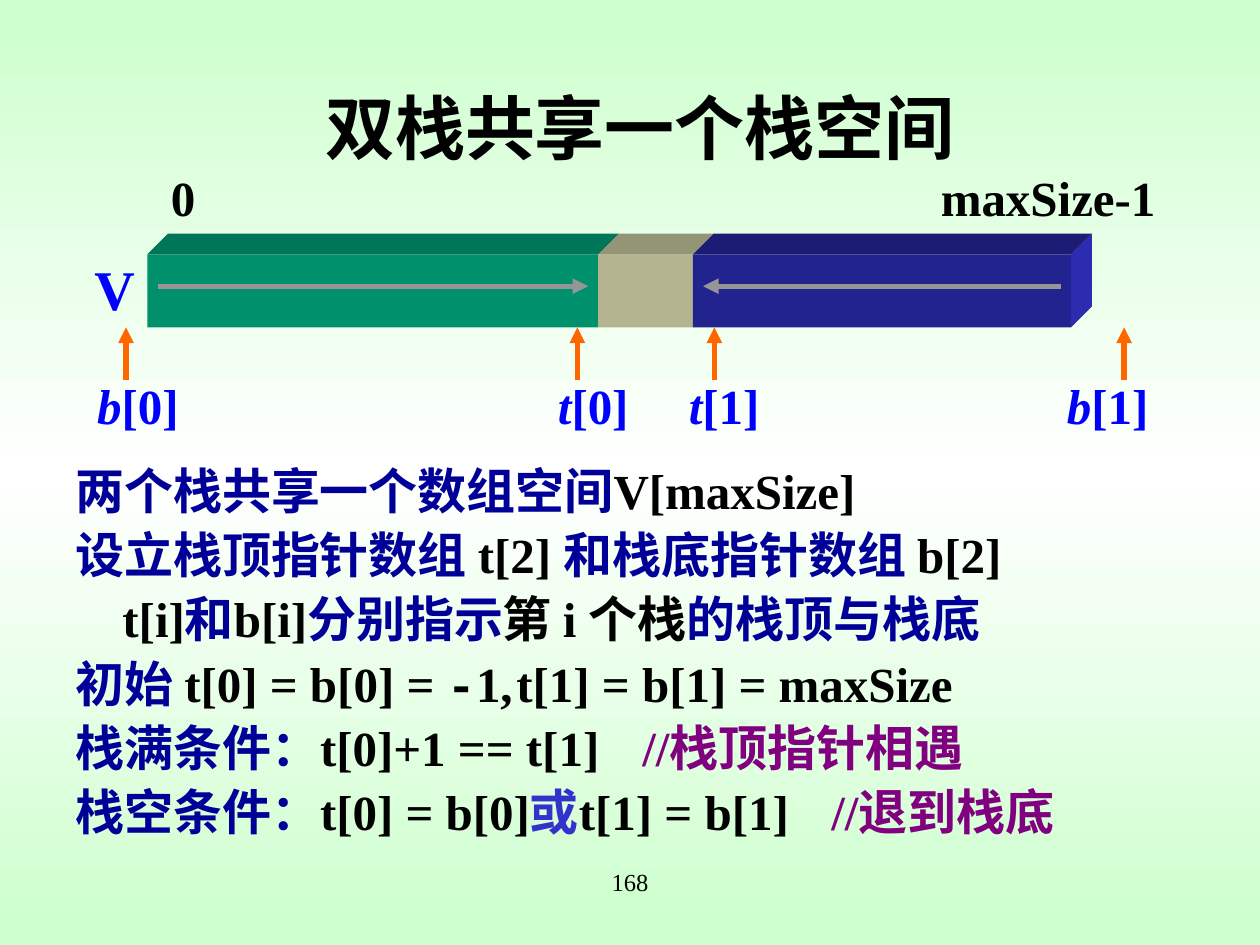
from copy import deepcopy

from pptx import Presentation
from pptx.dml.color import RGBColor as RGB
from pptx.enum.lang import MSO_LANGUAGE_ID as LANG
from pptx.enum.shapes import MSO_CONNECTOR as CONN, MSO_SHAPE as SHAPE
from pptx.enum.text import PP_ALIGN as ALIGN
from pptx.oxml.ns import qn
from pptx.oxml.xmlchemy import OxmlElement as Element
from pptx.util import Cm, Pt

BLACK = RGB(0x00, 0x00, 0x00)
WHITE = RGB(0xFF, 0xFF, 0xFF)
MINT = RGB(0xCC, 0xFF, 0xCC)
BLUE = RGB(0x00, 0x00, 0xFF)
NAVY = RGB(0x00, 0x00, 0x99)
INDIGO = RGB(0x33, 0x33, 0xCC)
PURPLE = RGB(0x80, 0x00, 0x80)
ORANGE = RGB(0xFF, 0x66, 0x00)
GREY = RGB(0x96, 0x96, 0x96)
GREEN_FRONT, GREEN_TOP = RGB(0x00, 0x90, 0x6C), RGB(0x00, 0x76, 0x58)
SAND_FRONT, SAND_TOP = RGB(0xB4, 0xB4, 0x90), RGB(0x94, 0x94, 0x76)
BLUE_FRONT, BLUE_TOP = RGB(0x23, 0x23, 0x90), RGB(0x1C, 0x1C, 0x74)
BLUE_SIDE = RGB(0x2C, 0x2C, 0xB0)

SERIF, MONO = "Times New Roman", "Courier New"
BAR_TOP, BAR_BOTTOM, DEPTH = 5.13, 6.6, 0.42
SEGMENTS = [
    (2.97, 12.06, GREEN_FRONT, GREEN_TOP),
    (12.06, 13.97, SAND_FRONT, SAND_TOP),
    (13.97, 21.59, BLUE_FRONT, BLUE_TOP),
]
POINTERS = [
    ("b", "[0]", 2.54, 2.78),
    ("t", "[0]", 11.64, 11.96),
    ("t", "[1]", 14.4, 14.6),
    ("b", "[1]", 22.66, 22.33),
]
NOTES = [
    (0, None, [("两个栈共享一个数组空间", NAVY), ("V[maxSize]", BLACK)]),
    (0, None, [("设立栈顶指针数组 ", NAVY), ("t[2] ", BLACK),
               ("和栈底指针数组 ", NAVY), ("b[2]", BLACK)]),
    (0.95, None, [("t[i]", BLACK), ("和", NAVY), ("b[i]", BLACK), ("分别指示", NAVY),
                  ("第 i 个栈", BLACK), ("的栈顶与栈底", NAVY)]),
    (0, 9.78, [("初始 ", NAVY), ("t[0] = b[0] = ", BLACK), ("-", BLACK, MONO),
               ("1,\tt[1] = b[1] = maxSize", BLACK)]),
    (0, 13.49, [("栈满条件：", NAVY), ("t[0]+1 == t[1]\t", BLACK), ("//栈顶指针相遇", PURPLE)]),
    (0, 15.57, [("栈空条件：", NAVY), ("t[0] = b[0]", BLACK), ("或", INDIGO),
                ("t[1] = b[1]\t", BLACK), ("//退到栈底", PURPLE)]),
]


def set_background(slide):
    """Fill the slide with a vertical mint, white, mint gradient."""
    fill = slide.background.fill
    fill.gradient()
    fill.gradient_angle = 90
    for stop, color, position in zip(fill.gradient_stops, (MINT, WHITE), (0, 0.5)):
        stop.color.rgb = color
        stop.position = position
    stops = next(slide.element.iter(qn("a:gsLst")))
    last = deepcopy(stops[0])
    last.set("pos", "100000")
    stops.append(last)


def add_run(p, text, color, size=28, font=SERIF, bold=True, italic=False):
    """Append a formatted run to a paragraph."""
    r = p.add_run()
    r.text = text
    r.font.name, r.font.size = font, Pt(size)
    r.font.bold, r.font.italic = bold, italic
    r.font.color.rgb = color
    r.font.language_id = LANG.SIMPLIFIED_CHINESE


def add_box(slide, x, y, w, h, wrap=True):
    """Add an empty text box and return its text frame."""
    tf = slide.shapes.add_textbox(Cm(x), Cm(y), Cm(w), Cm(h)).text_frame
    tf.word_wrap = wrap
    return tf


def add_label(slide, center, y, w, h, text, color=BLACK, **style):
    """Add a one-line label centred on a given position."""
    p = add_box(slide, center - w / 2, y, w, h).paragraphs[0]
    p.alignment = ALIGN.CENTER
    add_run(p, text, color, **style)
    return p


def add_arrow(slide, start, end, color):
    """Add a line with a triangle at its end."""
    line = slide.shapes.add_connector(CONN.STRAIGHT, *map(Cm, start + end))
    line.line.color.rgb = color
    line.line.width = Pt(3)
    tail = Element("a:tailEnd")
    tail.set("type", "triangle")
    line.line._get_or_add_ln().append(tail)
    line._element.spPr.append(Element("a:effectLst"))


def paint(sp, color):
    """Give a shape a plain fill without line or shadow."""
    sp.fill.solid()
    sp.fill.fore_color.rgb = color
    sp.line.fill.background()
    sp.shadow.inherit = False


def add_face(slide, points, color):
    """Add a slanted face of the bar."""
    corners = [(Cm(x), Cm(y)) for x, y in points]
    builder = slide.shapes.build_freeform(*corners[0])
    builder.add_line_segments(corners[1:], close=True)
    paint(builder.convert_to_shape(), color)


def add_bar(slide):
    """Draw the shared array as a solid bar of three segments."""
    back = BAR_TOP - DEPTH
    for left, right, front, top in SEGMENTS:
        sp = slide.shapes.add_shape(SHAPE.RECTANGLE, Cm(left), Cm(BAR_TOP),
                                    Cm(right - left), Cm(BAR_BOTTOM - BAR_TOP))
        paint(sp, front)
        add_face(slide, [(left, BAR_TOP), (left + DEPTH, back),
                         (right + DEPTH, back), (right, BAR_TOP)], top)
    end = SEGMENTS[-1][1]
    add_face(slide, [(end, BAR_TOP), (end + DEPTH, back),
                     (end + DEPTH, BAR_BOTTOM - DEPTH), (end, BAR_BOTTOM)], BLUE_SIDE)


def add_pointer(slide, name, index, x, center):
    """Add an upward arrow with its pointer name below."""
    add_arrow(slide, (x, 7.67), (x, BAR_BOTTOM), ORANGE)
    p = add_label(slide, center, 7.44, 2.6, 1.45, name, BLUE, italic=True)
    add_run(p, index, BLUE)


def add_notes(slide):
    """Write the explanation lines below the diagram."""
    tf = add_box(slide, 1.27, 9.09, 22.83, 8.53)
    for i, (indent, tab, runs) in enumerate(NOTES):
        p = tf.add_paragraph() if i else tf.paragraphs[0]
        p.line_spacing = 1.05
        p.space_before = Pt(1.5 if i else 0)
        pPr = p._p.get_or_add_pPr()
        pPr.set("marL", str(Cm(indent)))
        pPr.set("indent", "0")
        if tab:
            tabs, stop = Element("a:tabLst"), Element("a:tab")
            stop.set("pos", str(Cm(tab)))
            stop.set("algn", "l")
            tabs.append(stop)
            pPr.append(tabs)
        for text, color, *font in runs:
            add_run(p, text, color, font=font[0] if font else SERIF)


def main():
    """Build the slide and save it."""
    prs = Presentation()
    prs.slide_width, prs.slide_height = Cm(25.4), Cm(19.05)
    slide = prs.slides.add_slide(prs.slide_layouts[6])
    set_background(slide)
    title = add_label(slide, 12.9, 1.5, 22.86, 2.03, "双栈共享一个栈空间", size=40)
    title.line_spacing = 1.05
    add_bar(slide)
    add_label(slide, 3.69, 3.25, 1.4, 1.45, "0")
    add_label(slide, 21.13, 3.25, 5.4, 1.45, "maxSize-1")
    add_label(slide, 2.31, 5, 1.6, 1.6, "V", BLUE, size=32)
    add_arrow(slide, (3.18, 5.77), (11.86, 5.77), GREY)
    add_arrow(slide, (21.39, 5.77), (14.17, 5.77), GREY)
    for pointer in POINTERS:
        add_pointer(slide, *pointer)
    add_notes(slide)
    add_label(slide, 12.7, 17.35, 8.05, 1.27, "168", size=14, bold=False)
    prs.save("out.pptx")


if __name__ == "__main__":
    main()
